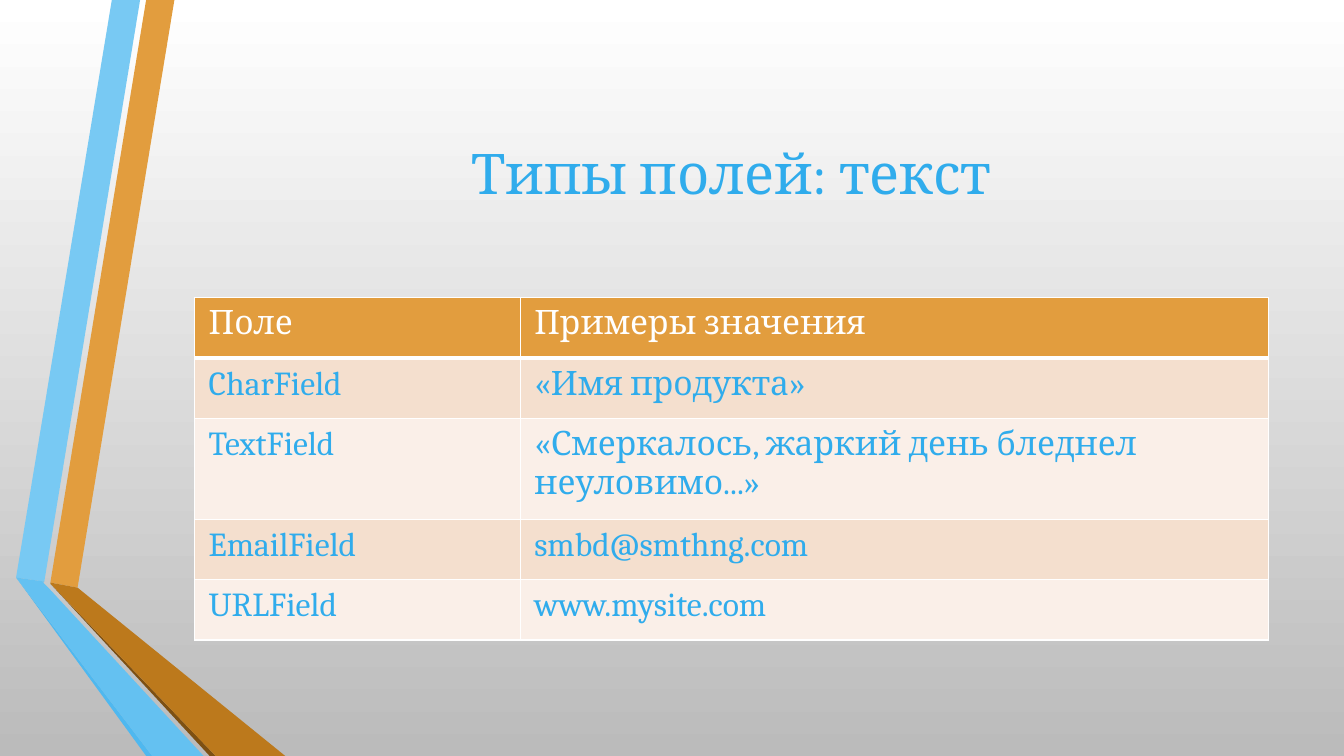
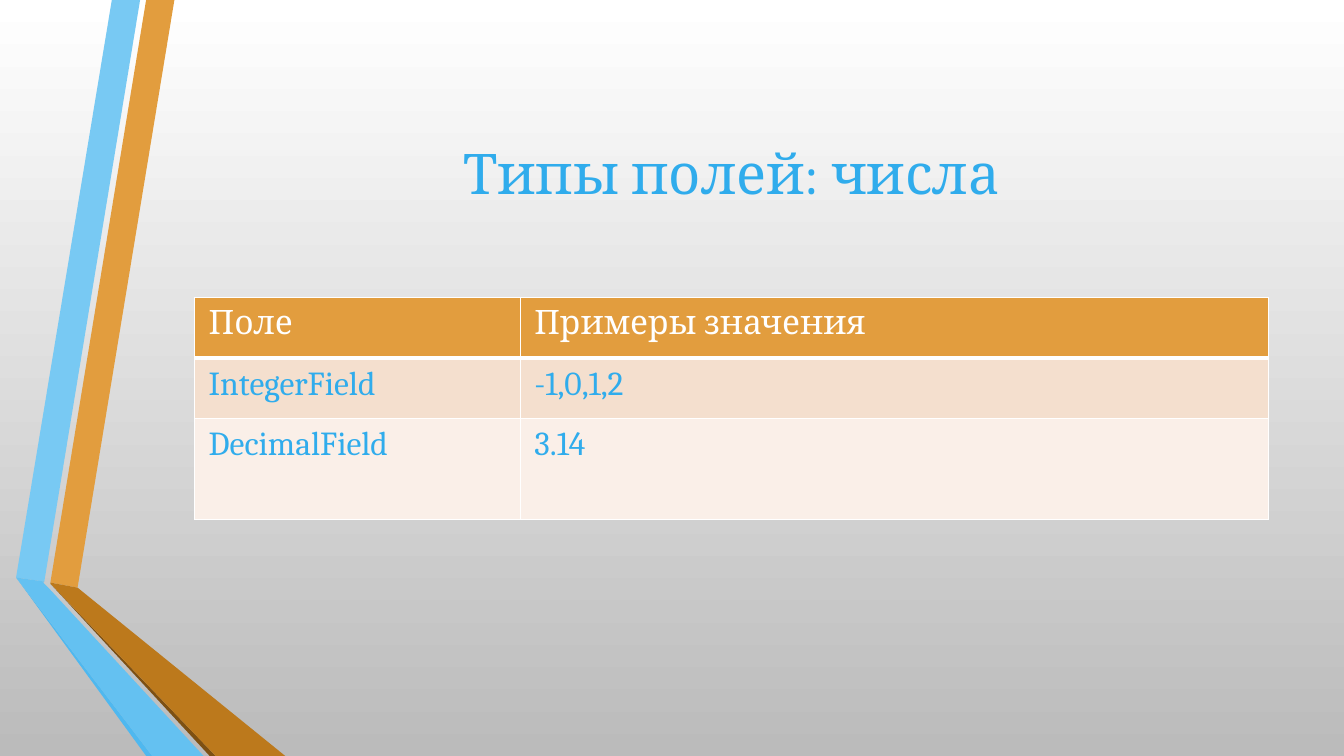
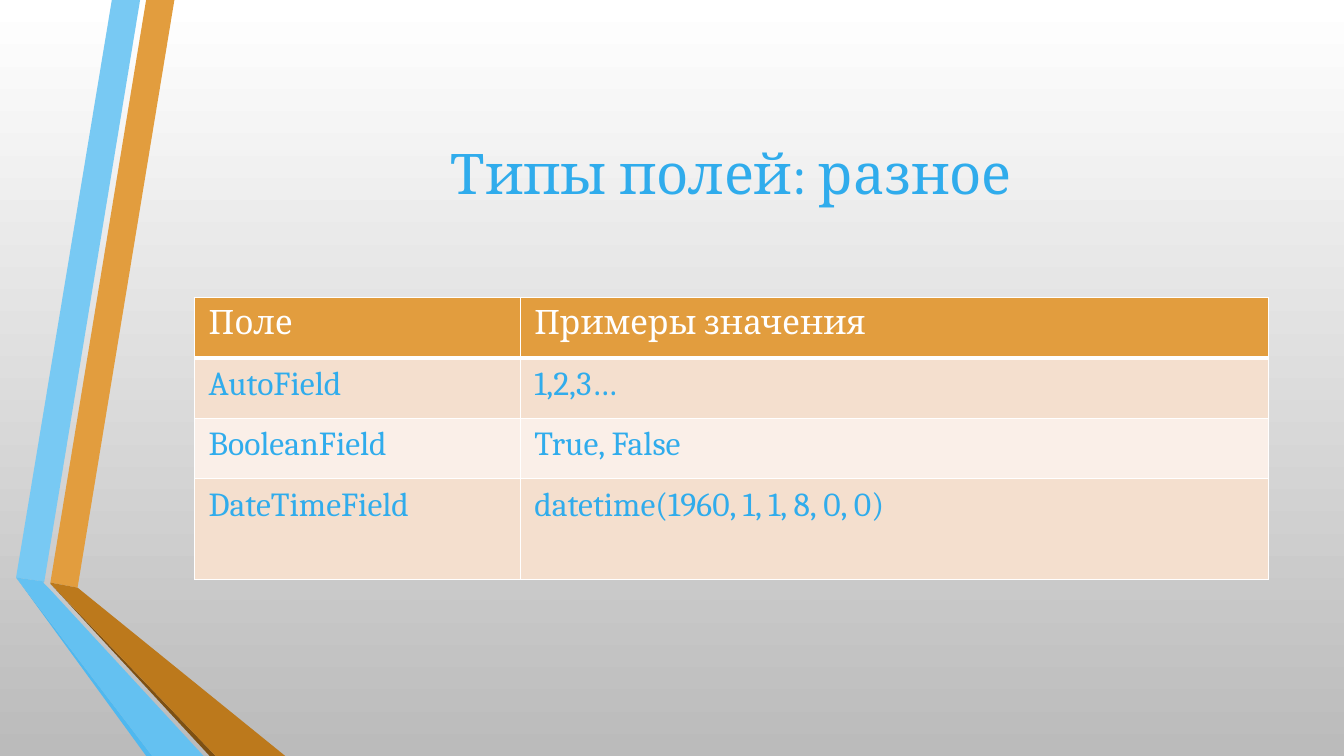
from dataclasses import dataclass

from lxml import etree
from pptx import Presentation
from pptx import util as u
from pptx.dml.color import RGBColor
from pptx.enum import text
from pptx.oxml.ns import qn

# Content: title, table rows, index of the tall row
HEADER = ("Поле", "Примеры значения")
SLIDES = [
    ("Типы полей: текст", [
        ("CharField", "«Имя продукта»"),
        ("TextField", "«Смеркалось, жаркий день бледнел неуловимо...»"),
        ("EmailField", "smbd@smthng.com"),
        ("URLField", "www.mysite.com"),
    ], 2),
    ("Типы полей: числа", [
        ("IntegerField", "-1,0,1,2"),
        ("DecimalField", "3.14"),
    ], 2),
    ("Типы полей: разное", [
        ("AutoField", "1,2,3…"),
        ("BooleanField", "True, False"),
        ("DateTimeField", "datetime(1960, 1, 1, 8, 0, 0)"),
    ], 3),
]

# Folded ribbons at the left edge: colour, corner points in inches
RIBBONS = [
    ("E29D3E", [(0.5, 5.78), (0.77, 5.83), (1.73, 0), (1.45, 0)]),
    ("78C9F3", [(1.39, 0), (1.11, 0), (0.16, 5.73), (0.44, 5.77)]),
    ("4FB8EF", [(0.16, 5.73), (1.45, 7.5), (1.51, 7.5)]),
    ("7D5013", [(0.5, 5.79), (2.08, 7.5), (2.14, 7.5)]),
    ("BC791C", [(0.5, 5.79), (2.14, 7.5), (2.83, 7.5), (0.77, 5.83), (0.5, 5.78)]),
    ("64C1F1", [(2.02, 7.5), (0.48, 5.83), (0.43, 5.78), (0.44, 5.77),
                (0.16, 5.73), (1.51, 7.5)]),
]


@dataclass(frozen=True)
class Theme:
    font: str = "Cambria"
    title_size: int = 40
    table_size: int = 24
    ink: str = "30ACEC"
    white: str = "FFFFFF"
    header: str = "E29D3E"
    bands: tuple = ("F4DFCE", "FAEFE8")
    background: tuple = ("FFFFFF", "BBBBBB")
    thin: int = 1
    thick: int = 3


THEME = Theme()
LEFT, WIDTH = 1.93, 10.65
TITLE_TOP, TITLE_HEIGHT = 0.75, 1.92
TABLE_TOP = 2.95
COLUMNS = (3.23, 7.42)
ROW, TALL_ROW = 0.6, 1
INSET_X, INSET_Y = 0.14, 0.07


def rgb(value):
    return RGBColor.from_string(value)


def style(p, size, color):
    p.font.name = THEME.font
    p.font.size = u.Pt(size)
    p.font.color.rgb = rgb(color)


def prepare_layout(layout):
    """Set the background and title frame, and drop the footer fields."""
    fill = layout.background.fill
    fill.gradient()
    fill.gradient_angle = 270
    for stop, color in zip(fill.gradient_stops, THEME.background):
        stop.color.rgb = rgb(color)
    for sp in list(layout.placeholders):
        if sp.placeholder_format.idx:
            sp.element.getparent().remove(sp.element)
        else:
            sp.left, sp.top = u.Inches(LEFT), u.Inches(TITLE_TOP)
            sp.width, sp.height = u.Inches(WIDTH), u.Inches(TITLE_HEIGHT)
            sp.text_frame.vertical_anchor = text.MSO_ANCHOR.MIDDLE


def add_ribbons(s, layout):
    """Draw the ribbons with the slide's builder and move them to the layout."""
    for i, (color, points) in enumerate(RIBBONS):
        corners = [(u.Inches(x), u.Inches(y)) for x, y in points]
        builder = s.shapes.build_freeform(*corners[0])
        builder.add_line_segments(corners[1:], close=True)
        sp = builder.convert_to_shape()
        sp.shadow.inherit = False
        sp.fill.solid()
        sp.fill.fore_color.rgb = rgb(color)
        sp.line.fill.background()
        layout.shapes.element.insert(2 + i, sp.element)


def set_border(cell, side, points):
    tc_pr = cell._tc.get_or_add_tcPr()
    ln = etree.SubElement(tc_pr, qn("a:ln" + side), w=str(u.Pt(points)))
    fill = etree.SubElement(ln, qn("a:solidFill"))
    etree.SubElement(fill, qn("a:srgbClr"), val=THEME.white)


def fill_cell(cell, value, row):
    # The line under the header is thicker than the others
    thick_side = {0: "B", 1: "T"}.get(row)
    for side in "LRTB":
        set_border(cell, side, THEME.thick if side == thick_side else THEME.thin)
    cell.fill.solid()
    cell.fill.fore_color.rgb = rgb(THEME.bands[(row - 1) % 2] if row else THEME.header)
    cell.margin_left = cell.margin_right = u.Inches(INSET_X)
    cell.margin_top = cell.margin_bottom = u.Inches(INSET_Y)
    cell.text = value
    p = cell.text_frame.paragraphs[0]
    style(p, THEME.table_size, THEME.ink if row else THEME.white)
    p.font.bold = False


def add_field_table(s, fields, tall):
    rows = [HEADER, *fields]
    heights = [TALL_ROW if i == tall else ROW for i in range(len(rows))]
    frame = s.shapes.add_table(len(rows), len(COLUMNS), u.Inches(LEFT), u.Inches(TABLE_TOP),
                               u.Inches(WIDTH), u.Inches(sum(heights)))
    table = frame.table
    for column, width in zip(table.columns, COLUMNS):
        column.width = u.Inches(width)
    for i, (values, height) in enumerate(zip(rows, heights)):
        table.rows[i].height = u.Inches(height)
        for j, value in enumerate(values):
            fill_cell(table.cell(i, j), value, i)


def main():
    prs = Presentation()
    prs.slide_width, prs.slide_height = u.Inches(13.33), u.Inches(7.5)
    layout = prs.slide_layouts.get_by_name("Title Only")
    prepare_layout(layout)

    for title, fields, tall in SLIDES:
        s = prs.slides.add_slide(layout)
        s.shapes.title.text = title
        p = s.shapes.title.text_frame.paragraphs[0]
        p.alignment = text.PP_ALIGN.CENTER
        style(p, THEME.title_size, THEME.ink)
        add_field_table(s, fields, tall)

    add_ribbons(prs.slides[0], layout)
    prs.save("out.pptx")


if __name__ == "__main__":
    main()
